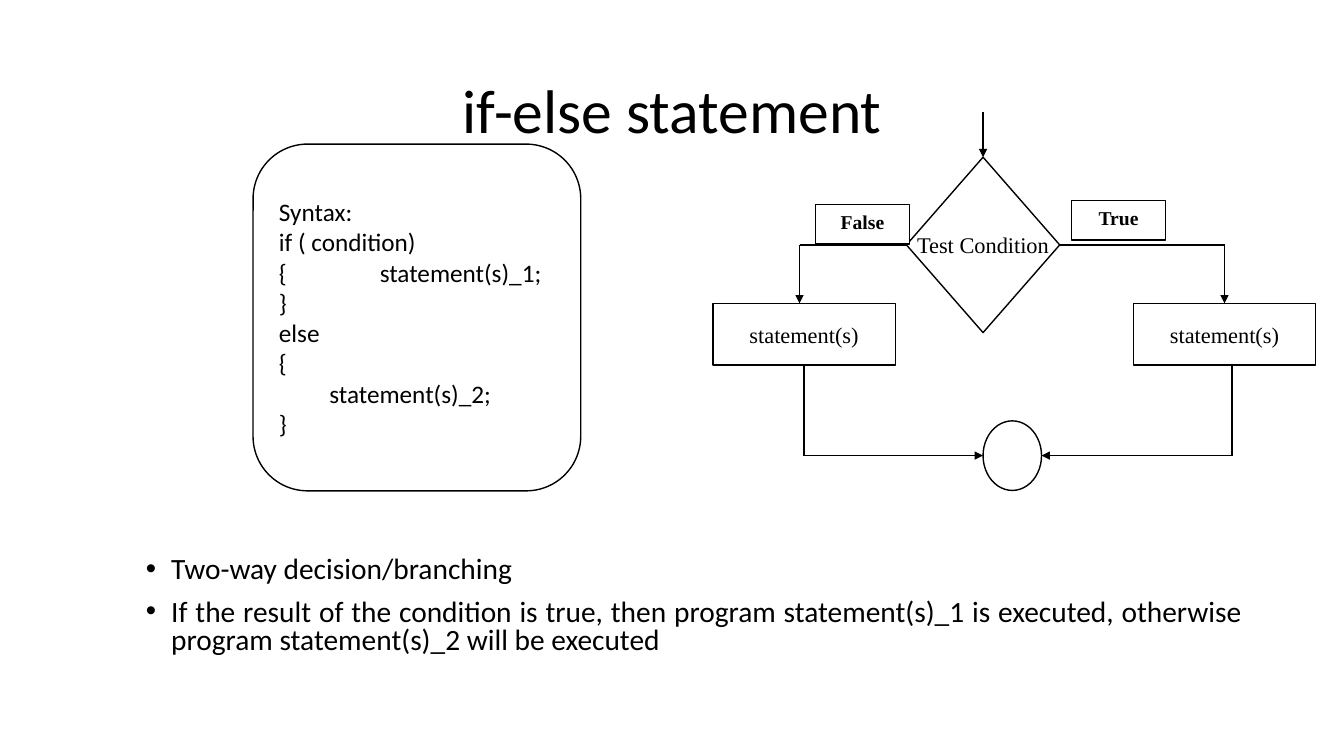
from lxml import etree
from pptx import Presentation
from pptx.dml.color import RGBColor
from pptx.enum.shapes import MSO_CONNECTOR, MSO_SHAPE
from pptx.enum.text import MSO_ANCHOR, PP_ALIGN
from pptx.oxml.ns import qn
from pptx.util import Inches, Pt

COLORS = {"ink": "000000", "paper": "FFFFFF"}
SANS, SERIF = "Calibri", "Times New Roman"
STRAIGHT = MSO_CONNECTOR.STRAIGHT
RECTANGLE, ROUNDED = MSO_SHAPE.RECTANGLE, MSO_SHAPE.ROUNDED_RECTANGLE
DIAMOND, OVAL = MSO_SHAPE.DIAMOND, MSO_SHAPE.OVAL
LEFT, CENTER, JUSTIFY = PP_ALIGN.LEFT, PP_ALIGN.CENTER, PP_ALIGN.JUSTIFY
TOP, MIDDLE = MSO_ANCHOR.TOP, MSO_ANCHOR.MIDDLE
SIDE_TOP, SIDE_LEFT, SIDE_BOTTOM, SIDE_RIGHT = range(4)

SYNTAX = [
    "Syntax:",
    "if ( condition)",
    "{\t\tstatement(s)_1;",
    "}",
    "else",
    "{",
    "\tstatement(s)_2;",
    "}",
]
POINTS = [
    "Two-way decision/branching",
    "If the result of the condition is true, then program statement(s)_1 "
    "is executed, otherwise program statement(s)_2 will be executed",
]


def color(name):
    return RGBColor.from_string(COLORS[name])


def write(shape, lines, size, font, align=CENTER, anchor=MIDDLE, bold=False, wrap=True):
    frame = shape.text_frame
    frame.text = "\n".join(lines)
    frame.word_wrap = wrap
    frame.vertical_anchor = anchor
    for para in frame.paragraphs:
        para.alignment = align
        for span in para.runs:
            span.font.size = Pt(size)
            span.font.name = font
            span.font.bold = bold
            span.font.color.rgb = color("ink")
    return frame.paragraphs


def add_node(page, kind, left, top, width, height):
    node = page.shapes.add_shape(
        kind, Inches(left), Inches(top), Inches(width), Inches(height))
    node.shadow.inherit = False
    node.fill.solid()
    node.fill.fore_color.rgb = color("paper")
    node.line.color.rgb = color("ink")
    node.line.width = Pt(1)
    return node


def add_link(page, start, end, arrow=False, source=None, target=None):
    link = page.shapes.add_connector(STRAIGHT, *map(Inches, start + end))
    link.line.color.rgb = color("ink")
    link.line.width = Pt(1)
    if source:
        link.begin_connect(*source)
    if target:
        link.end_connect(*target)
    if arrow:
        etree.SubElement(link.line._get_or_add_ln(), qn("a:tailEnd"), type="triangle")
    etree.SubElement(link._element.spPr, qn("a:effectLst"))


def add_title(page, left, top, width, height):
    box = page.shapes.add_textbox(*map(Inches, (left, top, width, height)))
    para = write(box, ["if-else statement"], 44, SANS)[0]
    para.line_spacing = 0.9


def add_points(page, left, top, width, height):
    box = page.shapes.add_textbox(*map(Inches, (left, top, width, height)))
    for para in write(box, POINTS, 21, SANS, JUSTIFY, TOP):
        para.line_spacing = 0.8
        para.space_before = Pt(10)
        settings = para._p.get_or_add_pPr()
        settings.set("marL", str(Inches(0.25)))
        settings.set("indent", str(Inches(-0.25)))
        etree.SubElement(settings, qn("a:buFont"), typeface="Arial")
        etree.SubElement(settings, qn("a:buChar"), char="•")


def add_syntax(page, left, top, width, height):
    panel = add_node(page, ROUNDED, left, top, width, height)
    write(panel, SYNTAX, 18, SANS, LEFT)


def add_flowchart(page, left, top):
    axis = left + 2.68
    branch_y = top + 1.32
    box_y, box_width, box_height = top + 1.9, 1.81, 0.61
    merge_left, merge_width, merge_y = axis, 0.58, top + 3.41

    test = add_node(page, DIAMOND, axis - 0.76, top + 0.45, 1.52, 1.74)
    write(test, ["Test Condition"], 16, SERIF, wrap=False)
    add_link(page, (axis, top), (axis, top + 0.45), True, target=(test, SIDE_TOP))
    add_node(page, OVAL, merge_left, merge_y - 0.345, merge_width, 0.69)

    branches = [
        ("True", left + 4.17, 0, left + 3.56, top + 0.88,
         left + 5.075, left + 5.15, merge_left + merge_width, SIDE_RIGHT),
        ("False", left, 0, left + 1.02, top + 0.92,
         left + 0.86, left + 0.905, merge_left, SIDE_LEFT),
    ]
    for name, box_x, _, label_x, label_y, entry_x, exit_x, merge_x, side in branches:
        box = add_node(page, RECTANGLE, box_x, box_y, box_width, box_height)
        write(box, ["statement(s)"], 16, SERIF, wrap=False)
        label = add_node(page, RECTANGLE, label_x, label_y, 0.93, 0.39)
        write(label, [name], 14, SERIF, anchor=TOP, bold=True)

        middle = box_x + box_width / 2
        entry = (box, SIDE_TOP) if abs(entry_x - middle) < 0.01 else None
        leaving = (box, SIDE_BOTTOM) if abs(exit_x - middle) < 0.01 else None
        add_link(page, (axis, branch_y), (entry_x, branch_y), source=(test, side))
        add_link(page, (entry_x, branch_y), (entry_x, box_y), True, target=entry)
        add_link(page, (exit_x, box_y + box_height), (exit_x, merge_y), source=leaving)
        add_link(page, (exit_x, merge_y), (merge_x, merge_y), True)


def main():
    deck = Presentation()
    deck.slide_width, deck.slide_height = Inches(13.33), Inches(7.5)
    page = deck.slides.add_slide(deck.slide_layouts[6])
    add_title(page, 0.92, 0.4, 11.5, 1.45)
    add_points(page, 1.35, 5.48, 11.07, 1.62)
    add_flowchart(page, 7.07, 1.11)
    add_syntax(page, 2.51, 1.43, 3.25, 3.44)
    deck.save("out.pptx")


if __name__ == "__main__":
    main()
